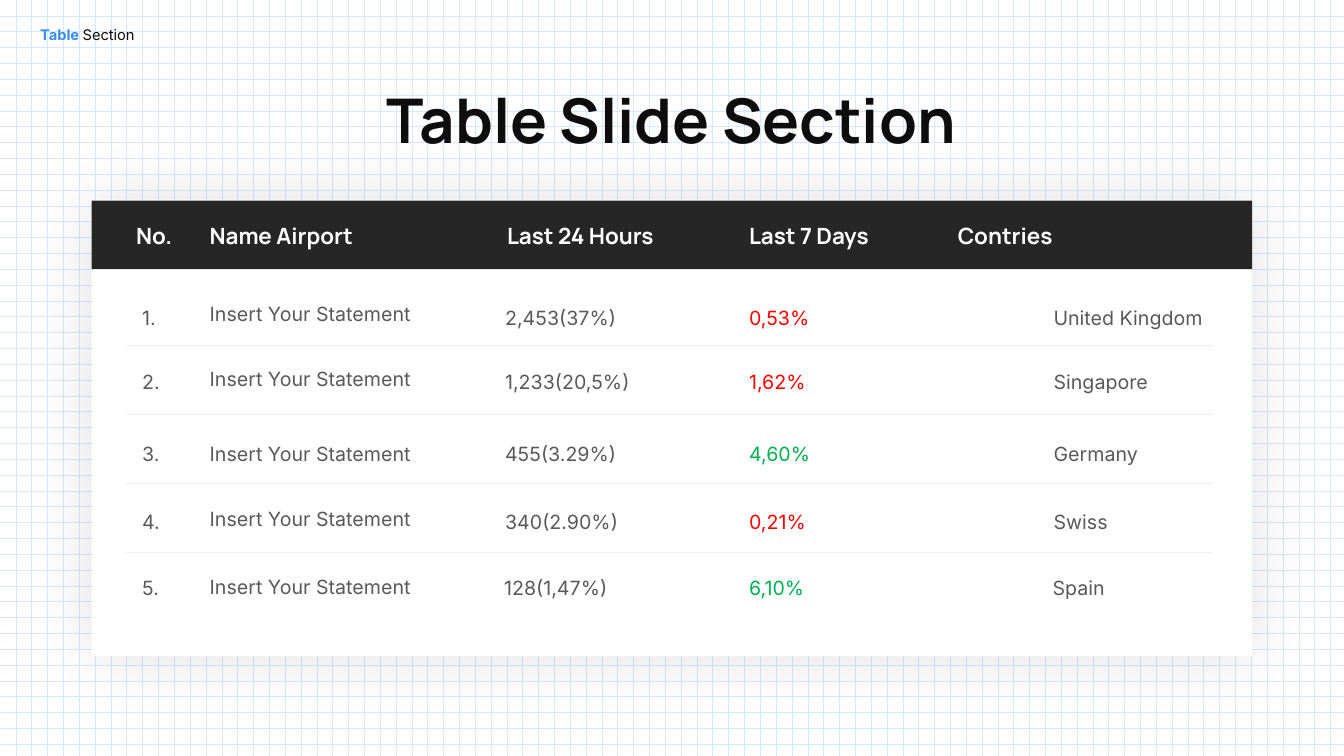
from dataclasses import dataclass

import pptx
import pptx.dml.color
import pptx.enum.dml
import pptx.enum.shapes
import pptx.enum.text
import pptx.oxml
import pptx.oxml.ns
import pptx.util
from pptx.util import Inches

INK, GREY, WHITE, DARK, RULE_GREY = "0D0D0D", "595959", "FFFFFF", "262626", "808080"
RED, GREEN = "FF0000", "00B050"
BLUE, MINT, GRID_BLUE = "398EEB", "11D073", "D7E8FB"
NO_STYLE_ID = "{2D5ABB26-0587-4C30-8999-92F81FD0307C}"
NAMESPACE = pptx.oxml.ns.nsdecls("a")
TEXT_INSET_X, TEXT_INSET_Y = 0.1, 0.05
CARD_LEFT, CARD_WIDTH = 0.91, 11.51
TABLE_LEFT, TABLE_RIGHT = 1.25, 12.03
HEADER_TOP, HEADER_BOTTOM, HEADER_TEXT_TOP = 1.99, 2.67, 0.15


@dataclass
class Column:
    header: str
    left: float
    header_indent: float = 0
    body_indent: float = 0


@dataclass
class AirportRow:
    bottom: float
    text_top: float
    name_lift: float
    last_day: str
    last_week: str
    week_color: str
    country: str
    shift_left: float = 0


COLUMNS = [
    Column("No.", TABLE_LEFT, body_indent=0.06),
    Column("Name Airport", 1.98),
    Column("Last 24 Hours", 4.9, header_indent=0.03, body_indent=0.01),
    Column("Last 7 Days", 7.33),
    Column("Contries", 9.4, body_indent=0.95),
]
ROWS = [
    AirportRow(3.43, 0.32, 0.04, "2,453(37%)", "0,53%", RED, "United Kingdom"),
    AirportRow(4.11, 0.2, 0.03, "1,233(20,5%)", "1,62%", RED, "Singapore"),
    AirportRow(4.8, 0.23, 0, "455(3.29%)", "4,60%", GREEN, "Germany"),
    AirportRow(5.48, 0.22, 0.03, "340(2.90%)", "0,21%", RED, "Swiss"),
    AirportRow(6.51, 0.19, 0.01, "128(1,47%)", "6,10%", GREEN, "Spain", shift_left=0.01),
]


def rgb(value: str) -> pptx.dml.color.RGBColor:
    return pptx.dml.color.RGBColor.from_string(value)


def add_run(paragraph, text: str, font_name: str, size: float, color: str, bold: bool = False):
    run = paragraph.add_run()
    run.text = text
    run.font.name = font_name
    run.font.size = pptx.util.Pt(size)
    run.font.bold = bold
    run.font.color.rgb = rgb(color)
    return run


def add_text_box(slide, left: float, top: float, width: float, height: float, wrap: bool):
    box = slide.shapes.add_textbox(Inches(left), Inches(top), Inches(width), Inches(height))
    box.text_frame.word_wrap = wrap
    box.text_frame.auto_size = pptx.enum.text.MSO_AUTO_SIZE.SHAPE_TO_FIT_TEXT
    return box.text_frame.paragraphs[0]


def add_section_label(slide) -> None:
    paragraph = add_text_box(slide, 0.3, 0.21, 1.19, 0.28, False)
    accent = add_run(paragraph, "Table ", "Inter", 10.5, BLUE, True)
    accent.font.fill.gradient()
    accent.font.fill.gradient_angle = 315
    for stop, color, position in zip(accent.font.fill.gradient_stops, (BLUE, MINT), (0, 0.88)):
        stop.color.rgb = rgb(color)
        stop.position = position
    add_run(paragraph, "Section", "Inter", 10.5, INK)


def add_panel(slide, kind: pptx.enum.shapes.MSO_SHAPE, top: float, height: float, color: str):
    panel = slide.shapes.add_shape(
        kind, Inches(CARD_LEFT), Inches(top), Inches(CARD_WIDTH), Inches(height)
    )
    panel.shadow.inherit = False
    panel.fill.solid()
    panel.fill.fore_color.rgb = rgb(color)
    panel.line.fill.background()
    return panel


def add_card(slide) -> None:
    card = add_panel(slide, pptx.enum.shapes.MSO_SHAPE.ROUNDED_RECTANGLE, 1.98, 4.53, WHITE)
    card.adjustments[0] = 0
    effects = card.element.spPr.find(pptx.oxml.ns.qn("a:effectLst"))
    effects.append(pptx.oxml.parse_xml(
        f'<a:outerShdw {NAMESPACE} blurRad="{pptx.util.Pt(46)}" dist="0" dir="5400000" '
        f'algn="ctr" rotWithShape="0"><a:srgbClr val="000000">'
        f'<a:alpha val="12000"/></a:srgbClr></a:outerShdw>'
    ))
    add_panel(
        slide, pptx.enum.shapes.MSO_SHAPE.RECTANGLE,
        HEADER_TOP, HEADER_BOTTOM - HEADER_TOP, DARK,
    )


def add_divider(slide, y: float) -> None:
    divider = slide.shapes.add_connector(
        pptx.enum.shapes.MSO_CONNECTOR.STRAIGHT,
        Inches(TABLE_LEFT), Inches(y), Inches(TABLE_RIGHT), Inches(y),
    )
    divider.line.width = pptx.util.Pt(0.5)
    divider.line.color.rgb = rgb(RULE_GREY)
    properties = divider.element.spPr
    for color in properties.iter(pptx.oxml.ns.qn("a:srgbClr")):
        color.append(pptx.oxml.parse_xml(f'<a:alpha {NAMESPACE} val="18000"/>'))
    properties.append(pptx.oxml.parse_xml(f"<a:effectLst {NAMESPACE}/>"))


def place_cell_text(cell, indent: float, top: float):
    cell.margin_left = Inches(TEXT_INSET_X + indent)
    cell.margin_top = Inches(TEXT_INSET_Y + top)
    cell.margin_right = cell.margin_bottom = 0
    cell.vertical_anchor = pptx.enum.text.MSO_ANCHOR.TOP
    cell.fill.background()
    return cell.text_frame.paragraphs[0]


def add_airport_table(slide) -> None:
    column_edges = [*(column.left for column in COLUMNS), TABLE_RIGHT]
    row_edges = [HEADER_TOP, HEADER_BOTTOM, *(row.bottom for row in ROWS)]
    frame = slide.shapes.add_table(
        len(ROWS) + 1, len(COLUMNS), Inches(TABLE_LEFT), Inches(HEADER_TOP),
        Inches(TABLE_RIGHT - TABLE_LEFT), Inches(row_edges[-1] - HEADER_TOP),
    )
    table = frame.table
    table.horz_banding = False
    for style_id in frame.element.iter(pptx.oxml.ns.qn("a:tableStyleId")):
        style_id.text = NO_STYLE_ID
    for column, start, end in zip(table.columns, column_edges, column_edges[1:]):
        column.width = Inches(end - start)
    for row, start, end in zip(table.rows, row_edges, row_edges[1:]):
        row.height = Inches(end - start)

    for index, column in enumerate(COLUMNS):
        paragraph = place_cell_text(table.cell(0, index), column.header_indent, HEADER_TEXT_TOP)
        add_run(paragraph, column.header, "Manrope", 16, WHITE, True)

    for number, row in enumerate(ROWS, 1):
        entries = [
            (f"{number}.", GREY, 0, 0),
            ("Insert Your Statement", GREY, row.name_lift, 0),
            (row.last_day, GREY, 0, row.shift_left),
            (row.last_week, row.week_color, 0, 0),
            (row.country, GREY, 0, row.shift_left),
        ]
        for index, (column, (text, color, lift, shift)) in enumerate(zip(COLUMNS, entries)):
            paragraph = place_cell_text(
                table.cell(number, index), column.body_indent - shift, row.text_top - lift
            )
            add_run(paragraph, text, "Inter", 14, color)


def main() -> None:
    presentation = pptx.Presentation()
    presentation.slide_width = Inches(13.33)
    presentation.slide_height = Inches(7.5)
    slide = presentation.slides.add_slide(presentation.slide_layouts[6])
    background = slide.background.fill
    background.patterned()
    background.pattern = pptx.enum.dml.MSO_PATTERN.DOTTED_GRID
    background.fore_color.rgb = rgb(GRID_BLUE)
    background.back_color.rgb = rgb(WHITE)

    add_section_label(slide)
    title = add_text_box(slide, 1.15, 0.76, 11.02, 0.84, True)
    title.alignment = pptx.enum.text.PP_ALIGN.CENTER
    add_run(title, "Table Slide Section", "Manrope", 44, INK, True)
    add_card(slide)
    for row in ROWS[:-1]:
        add_divider(slide, row.bottom)
    add_airport_table(slide)
    presentation.save("out.pptx")


if __name__ == "__main__":
    main()
